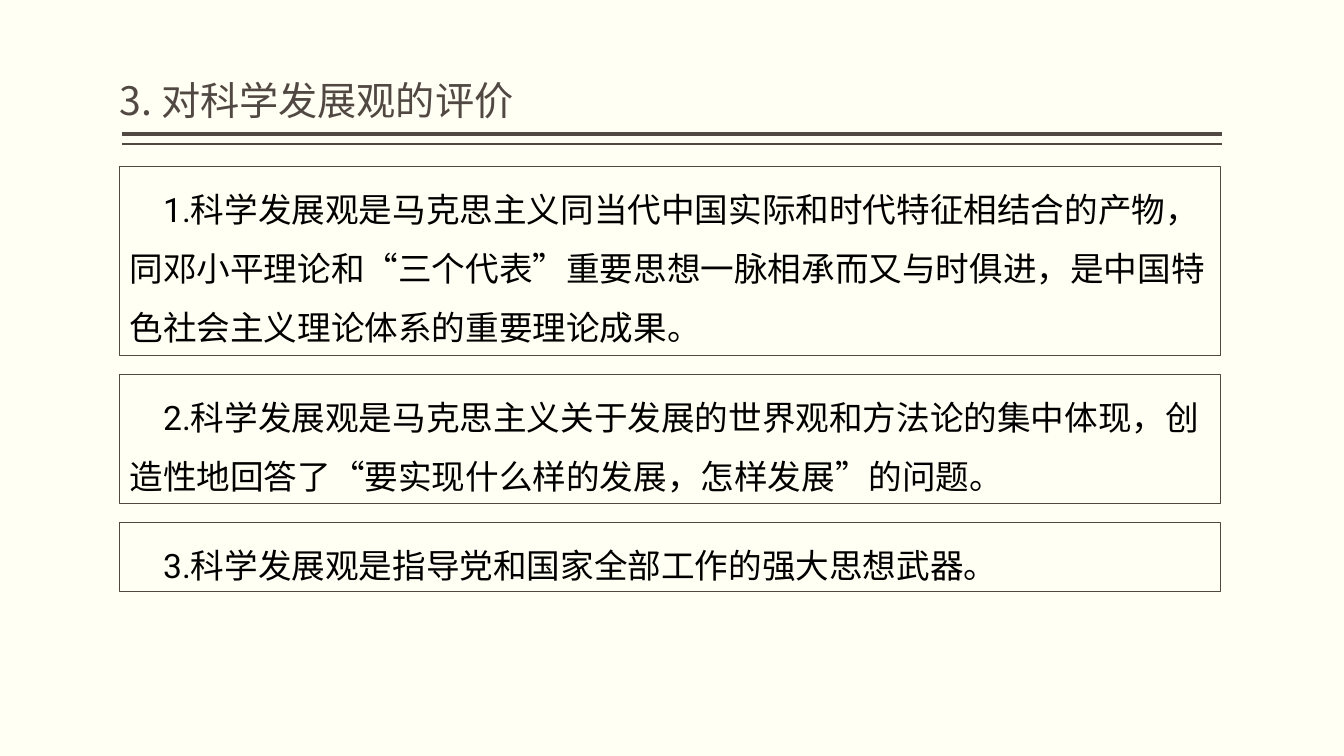
"""Build a slide that assesses the scientific outlook on development."""
from lxml import etree
from pptx import Presentation
from pptx.dml.color import RGBColor
from pptx.enum.shapes import MSO_CONNECTOR, MSO_SHAPE
from pptx.enum.text import MSO_ANCHOR, MSO_AUTO_SIZE, PP_ALIGN
from pptx.oxml.ns import qn
from pptx.util import Pt

PX = 9525
STRAIGHT = MSO_CONNECTOR.STRAIGHT
RECT = MSO_SHAPE.RECTANGLE
TOP, BOTTOM = MSO_ANCHOR.TOP, MSO_ANCHOR.BOTTOM
GROW, FIXED = MSO_AUTO_SIZE.SHAPE_TO_FIT_TEXT, MSO_AUTO_SIZE.NONE
LEFT = PP_ALIGN.LEFT
HAN, LATIN = "Noto Sans CJK SC", "Roboto"
COLORS = {"page": "FFFFF3", "brown": "514843", "black": "000000"}
EDGE, WIDTH, INDENT, GAP = 114, 1048, 32, 18


def color(name):
    return RGBColor.from_string(COLORS[name])


def write(frame, text, size, face, ink, space):
    frame.word_wrap = True
    para = frame.paragraphs[0]
    para.alignment = LEFT
    para.line_spacing = space
    run = para.add_run()
    run.text = text
    run.font.size = Pt(size)
    run.font.name = face
    run.font.color.rgb = color(ink)
    etree.SubElement(run.font._element, qn("a:ea")).set("typeface", HAN)
    return para


deck = Presentation()
deck.slide_width, deck.slide_height = 1280 * PX, 720 * PX
slide = deck.slides.add_slide(deck.slide_layouts[5])
slide.background.fill.solid()
slide.background.fill.fore_color.rgb = color("page")

for y, weight in [(128, 3), (137, 1)]:
    rule = slide.shapes.add_connector(
        STRAIGHT, 116 * PX, y * PX, 1164 * PX, y * PX)
    rule.line.color.rgb = color("brown")
    rule.line.width = Pt(weight)
    etree.SubElement(rule._element.spPr, qn("a:effectLst"))

title = slide.shapes.title
title.left, title.top = EDGE * PX, 8 * PX
title.width, title.height = WIDTH * PX, 115 * PX
frame = title.text_frame
frame.margin_left = frame.margin_right = 0
frame.vertical_anchor = BOTTOM
frame.auto_size = FIXED
write(frame, "3. 对科学发展观的评价", 28, HAN, "brown", 0.9)

POINTS = [
    (180, "1.科学发展观是马克思主义同当代中国实际和时代特征相结合的产物，"
          "同邓小平理论和“三个代表”重要思想一脉相承而又与时俱进，"
          "是中国特色社会主义理论体系的重要理论成果。"),
    (123, "2.科学发展观是马克思主义关于发展的世界观和方法论的集中体现，"
          "创造性地回答了“要实现什么样的发展，怎样发展”的问题。"),
    (66, "3.科学发展观是指导党和国家全部工作的强大思想武器。"),
]
top = 158
for height, text in POINTS:
    box = slide.shapes.add_shape(
        RECT, EDGE * PX, top * PX, WIDTH * PX, height * PX)
    box.shadow.inherit = False
    box.fill.background()
    box.line.color.rgb = color("brown")
    box.line.width = Pt(0.25)
    frame = box.text_frame
    frame.vertical_anchor = TOP
    frame.auto_size = GROW
    para = write(frame, text, 24, LATIN, "black", Pt(42))
    para._p.get_or_add_pPr().set("indent", str(INDENT * PX))
    top += height + GAP

deck.save("out.pptx")
